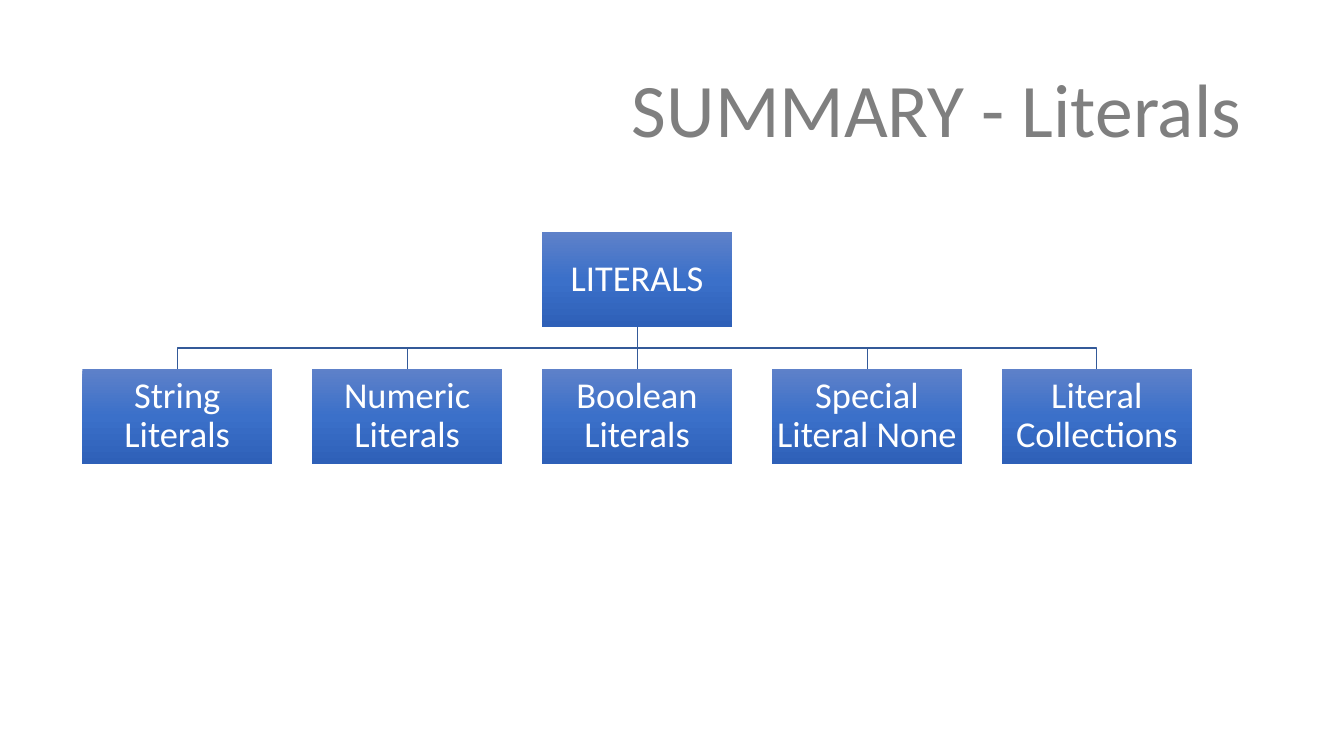
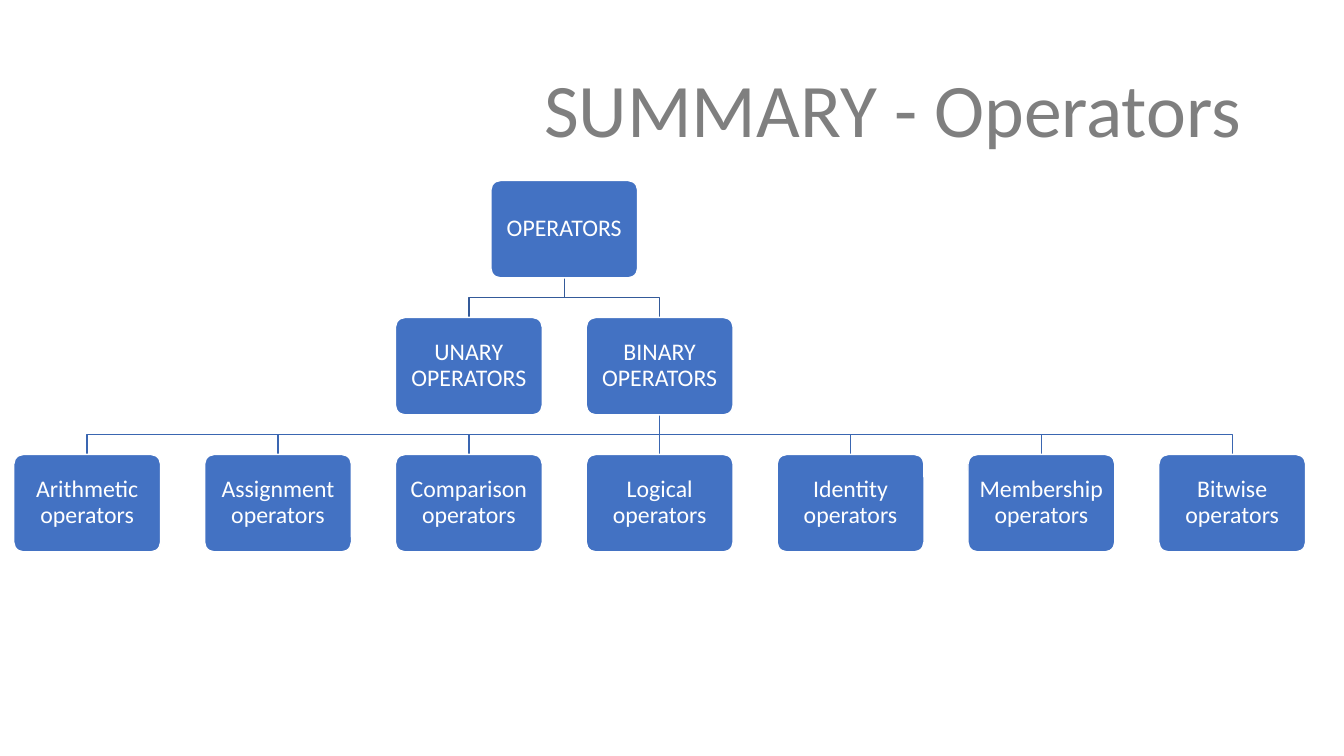
from lxml import etree
from pptx import Presentation
from pptx.dml.color import RGBColor
from pptx.enum.shapes import MSO_CONNECTOR, MSO_SHAPE
from pptx.enum.text import MSO_ANCHOR, PP_ALIGN
from pptx.oxml.ns import qn
from pptx.util import Pt

RECT, ROUND = MSO_SHAPE.RECTANGLE, MSO_SHAPE.ROUNDED_RECTANGLE
STRAIGHT = MSO_CONNECTOR.STRAIGHT
MIDDLE = MSO_ANCHOR.MIDDLE
CENTER, RIGHT = PP_ALIGN.CENTER, PP_ALIGN.RIGHT
TOP_SIDE, BOTTOM_SIDE = 0, 2

# Shared look
FONT = "Calibri"
WHITE, GREY, BLUE = "FFFFFF", "7F7F7F", "4372C3"
LINE_DARK, LINE_MID = "345A99", "3A66B1"
GRADIENT = [(0, "5E81C9"), (50, "3B70C9"), (100, "2E60B8")]
TITLE_BOX = (66, 28.8, 827.8, 104.4)

# Chart styles: node size, distance between nodes, text and lines
LITERAL_STYLE = dict(shape=RECT, w=135.7, h=67.8, dx=164.22, dy=97.6,
                     size=26, inset=1.5, line=0.75)
OPERATOR_STYLE = dict(shape=ROUND, w=104.9, h=69.6, dx=136.32, dy=97.85,
                      size=17, inset=5, line=1)

LITERALS = ["String Literals", "Numeric Literals", "Boolean Literals",
            "Special Literal None", "Literal Collections"]
OPERATORS = ["Arithmetic", "Assignment", "Comparison", "Logical",
             "Identity", "Membership", "Bitwise"]


def rgb(value):
    return RGBColor.from_string(value)


def write(tf, text, size, color, align, inset_x, inset_y):
    tf.word_wrap = True
    tf.vertical_anchor = MIDDLE
    tf.margin_left = tf.margin_right = Pt(inset_x)
    tf.margin_top = tf.margin_bottom = Pt(inset_y)
    p = tf.paragraphs[0]
    p.alignment = align
    p.line_spacing = 0.9
    r = p.add_run()
    r.text = text
    r.font.name = FONT
    r.font.size = Pt(size)
    r.font.color.rgb = rgb(color)


def add_title(slide, text, box):
    sp = slide.shapes.add_textbox(*map(Pt, box))
    write(sp.text_frame, text, 54, GREY, RIGHT, 7.2, 3.6)


def fill_gradient(sp, stops):
    sp.fill.gradient()
    sp.fill.gradient_angle = 270
    gs_list = sp._element.spPr.find(".//" + qn("a:gsLst"))
    for gs in list(gs_list):
        gs_list.remove(gs)
    for percent, color in stops:
        gs = etree.SubElement(gs_list, qn("a:gs"), pos=str(percent * 1000))
        etree.SubElement(gs, qn("a:srgbClr"), val=color)


def add_node(slide, origin, style, col, row, text):
    """Place a node at a grid cell; col may be fractional."""
    x = origin[0] + col * style["dx"]
    y = origin[1] + row * style["dy"]
    sp = slide.shapes.add_shape(style["shape"], Pt(x), Pt(y),
                                Pt(style["w"]), Pt(style["h"]))
    sp.shadow.inherit = False
    if style["shape"] == ROUND:
        sp.adjustments[0] = 0.1
        sp.fill.solid()
        sp.fill.fore_color.rgb = rgb(BLUE)
        sp.line.color.rgb = rgb(WHITE)
        sp.line.width = Pt(1)
    else:
        fill_gradient(sp, GRADIENT)
        sp.line.fill.background()
    inset = style["inset"]
    write(sp.text_frame, text, style["size"], WHITE, CENTER, inset, inset)
    return sp


def link(slide, parent, children, color, width):
    """Join a parent to each child: straight below it, else by an elbow."""
    x1, y1 = parent.left + parent.width // 2, parent.top + parent.height
    for child in children:
        x2, y2 = child.left + child.width // 2, child.top
        if abs(x2 - x1) < Pt(1):
            line = slide.shapes.add_connector(STRAIGHT, x1, y1, x2, y2)
            line.begin_connect(parent, BOTTOM_SIDE)
            line.end_connect(child, TOP_SIDE)
        else:
            bus_y = (y1 + y2) // 2
            elbow = slide.shapes.build_freeform(x1, y1)
            elbow.add_line_segments([(x1, bus_y), (x2, bus_y), (x2, y2)],
                                    close=False)
            line = elbow.convert_to_shape()
            line.fill.background()
        line.line.color.rgb = rgb(color)
        line.line.width = Pt(width)
        etree.SubElement(line._element.spPr, qn("a:effectLst"))
        # Lines lie behind the nodes
        slide.shapes._spTree.insert(2, line._element)


def literals_chart(slide, origin):
    style = LITERAL_STYLE
    root = add_node(slide, origin, style, 2, 0, "LITERALS")
    kinds = [add_node(slide, origin, style, i, 1, text)
             for i, text in enumerate(LITERALS)]
    link(slide, root, kinds, LINE_DARK, style["line"])


def operators_chart(slide, origin):
    style = OPERATOR_STYLE
    root = add_node(slide, origin, style, 2.5, 0, "OPERATORS")
    groups = [add_node(slide, origin, style, col, 1, name + " OPERATORS")
              for col, name in ((2, "UNARY"), (3, "BINARY"))]
    kinds = [add_node(slide, origin, style, i, 2, name + " operators")
             for i, name in enumerate(OPERATORS)]
    link(slide, root, groups, LINE_DARK, style["line"])
    link(slide, groups[1], kinds, LINE_MID, style["line"])


def main():
    prs = Presentation()
    prs.slide_width, prs.slide_height = Pt(960), Pt(540)
    pages = [("SUMMARY - Literals", literals_chart, (58.8, 165.9)),
             ("SUMMARY - Operators", operators_chart, (9.8, 128.9))]
    for title, draw_chart, origin in pages:
        slide = prs.slides.add_slide(prs.slide_layouts[6])
        add_title(slide, title, TITLE_BOX)
        draw_chart(slide, origin)
    prs.save("out.pptx")


if __name__ == "__main__":
    main()
